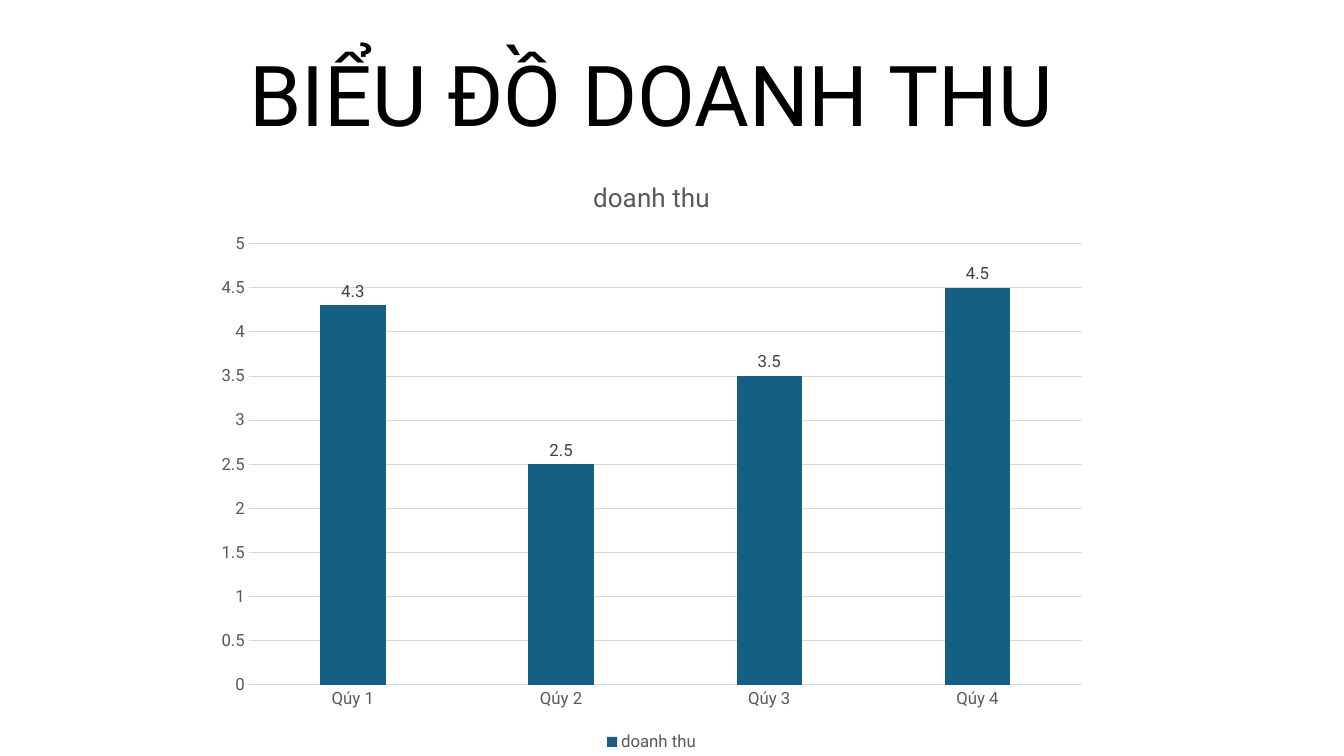
import pptx
import pptx.chart.data
import pptx.dml.color
import pptx.enum.chart
import pptx.enum.text
import pptx.util

Cm = pptx.util.Cm
Pt = pptx.util.Pt
FONT = "Roboto"
COLORS = {
    "ink": "000000",
    "bar": "156082",
    "gray": "595959",
    "label": "404040",
    "grid": "D9D9D9",
}


def color(name):
    return pptx.dml.color.RGBColor.from_string(COLORS[name])


def style(font, size, tone):
    font.name = FONT
    font.size = Pt(size)
    font.bold = False
    font.color.rgb = color(tone)


def write(frame, text, size=12, tone="ink", align=None, space=None):
    para = frame.paragraphs[0]
    para.alignment = align
    para.line_spacing = space
    run = para.add_run()
    run.text = text
    style(run.font, size, tone)


class Deck:
    def __init__(self):
        self.file = pptx.Presentation()
        self.file.slide_width = Cm(33.87)
        self.file.slide_height = Cm(19.05)
        self.slide = self.file.slides.add_slide(self.file.slide_layouts[6])

    def title(self, text, box):
        frame = self.slide.shapes.add_textbox(*map(Cm, box)).text_frame
        frame.word_wrap = True
        frame.vertical_anchor = pptx.enum.text.MSO_ANCHOR.BOTTOM
        write(frame, text, size=60, align=pptx.enum.text.PP_ALIGN.CENTER, space=0.9)

    def chart(self, name, cats, vals, box):
        data = pptx.chart.data.CategoryChartData()
        data.categories = cats
        data.add_series(name, vals)
        kind = pptx.enum.chart.XL_CHART_TYPE.COLUMN_CLUSTERED
        chart = self.slide.shapes.add_chart(kind, *map(Cm, box), data).chart
        style(chart.font, 10, "ink")
        chart.has_title = True
        write(chart.chart_title.text_frame, name, size=18.6, tone="gray")
        chart.chart_title.include_in_layout = False
        chart.has_legend = True
        chart.legend.position = pptx.enum.chart.XL_LEGEND_POSITION.BOTTOM
        chart.legend.include_in_layout = False
        style(chart.legend.font, 12, "gray")
        self.axes(chart)
        self.bars(chart.plots[0])

    def axes(self, chart):
        cat, val = chart.category_axis, chart.value_axis
        for axis in (cat, val):
            axis.major_tick_mark = pptx.enum.chart.XL_TICK_MARK.NONE
            axis.minor_tick_mark = pptx.enum.chart.XL_TICK_MARK.NONE
            style(axis.tick_labels.font, 12, "gray")
        val.minimum_scale = 0
        val.maximum_scale = 5
        val.major_unit = 0.5
        val.has_major_gridlines = True
        val.format.line.fill.background()
        for line in (cat.format.line, val.major_gridlines.format.line):
            line.color.rgb = color("grid")
            line.width = Pt(0.75)

    def bars(self, plot):
        plot.vary_by_categories = False
        plot.gap_width = 219
        plot.overlap = -27
        row = plot.series[0]
        row.format.fill.solid()
        row.format.fill.fore_color.rgb = color("bar")
        row.invert_if_negative = False
        labels = row.data_labels
        labels.show_value = True
        labels.position = pptx.enum.chart.XL_LABEL_POSITION.OUTSIDE_END
        style(labels.font, 12, "label")


def main():
    deck = Deck()
    deck.title("BIỂU ĐỒ DOANH THU", (3.71, -2.87, 25.4, 6.63))
    cats = [f"Qúy {n}" for n in range(1, 5)]
    deck.chart("doanh thu", cats, (4.3, 2.5, 3.5, 4.5), (5.13, 3.99, 22.58, 15.06))
    deck.file.save("out.pptx")


if __name__ == "__main__":
    main()
